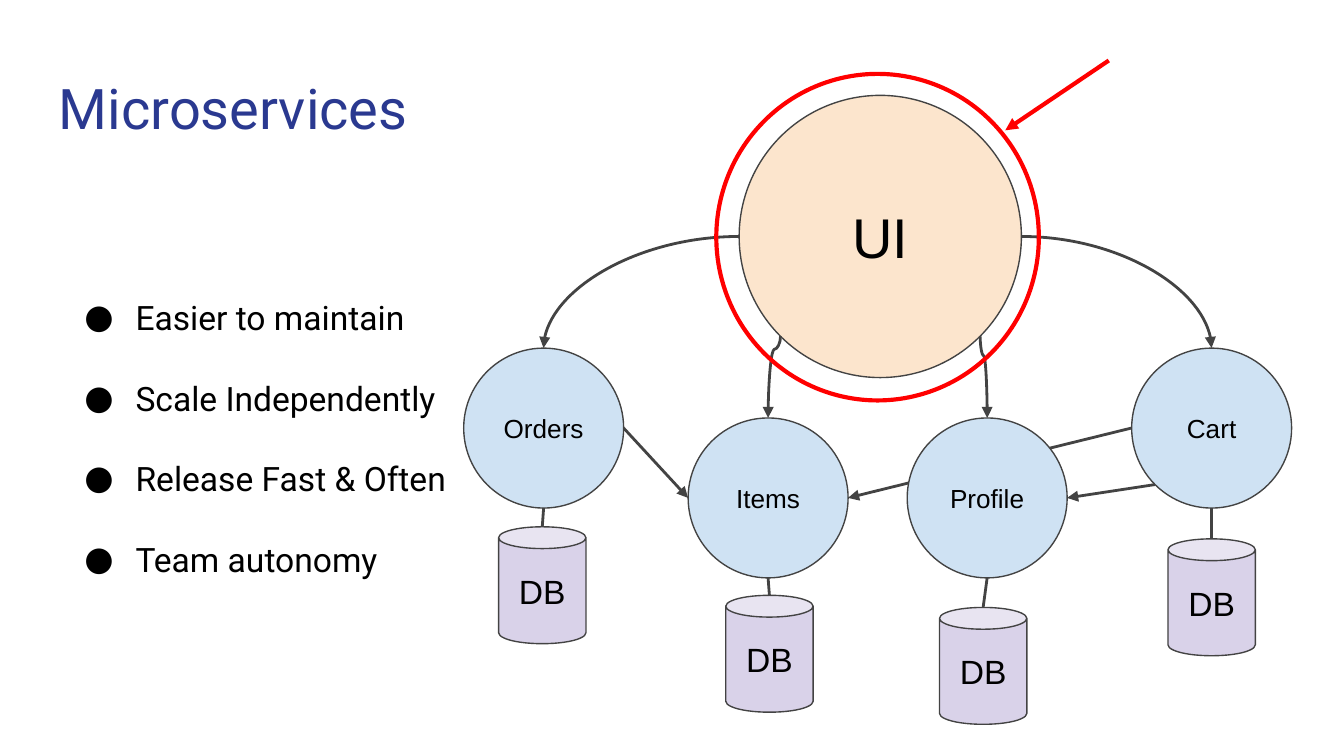
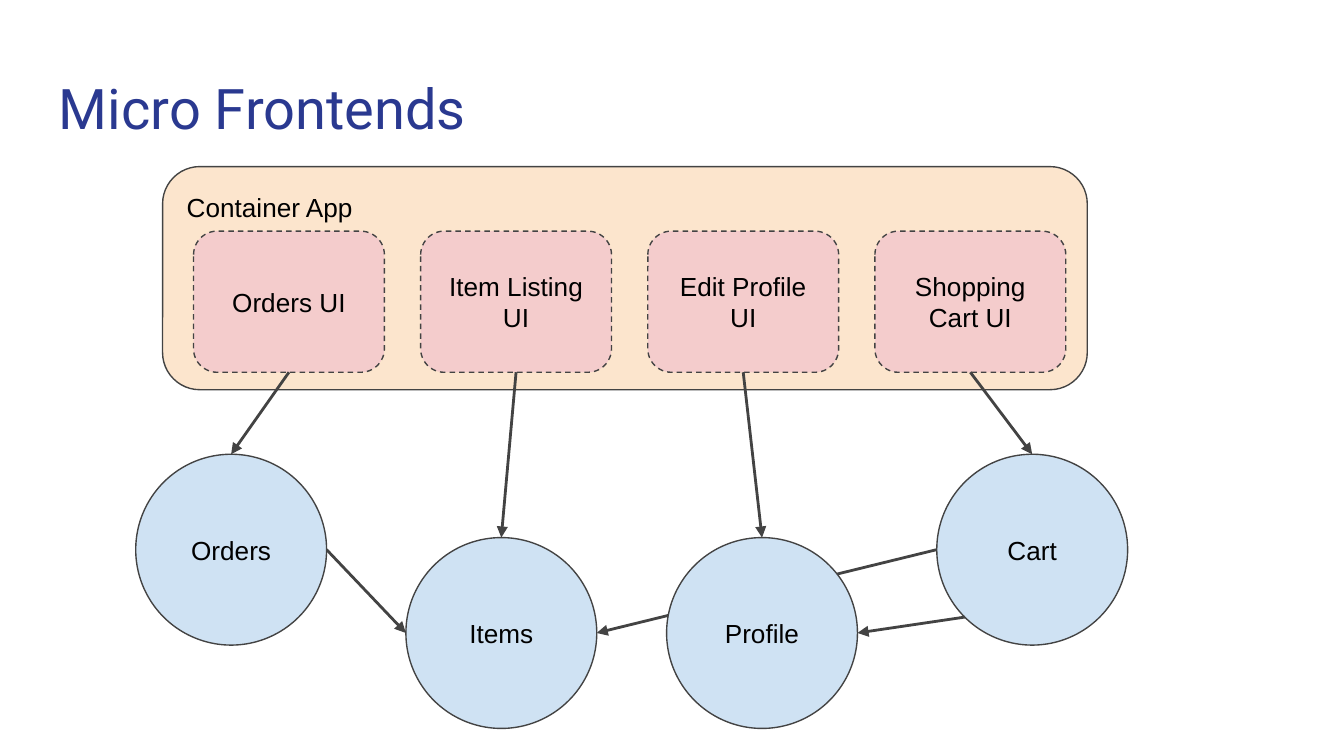
"""Build two slides that compare microservices with micro frontends."""
from dataclasses import dataclass
from math import cos, radians, sin

from pptx import Presentation
from pptx.dml.color import RGBColor
from pptx.enum.dml import MSO_LINE as Dash
from pptx.enum.shapes import MSO_CONNECTOR as Conn, MSO_SHAPE as Shp
from pptx.enum.text import MSO_ANCHOR as Anchor, PP_ALIGN as Align
from pptx.oxml.ns import qn
from pptx.oxml.xmlchemy import OxmlElement as Element
from pptx.shapes.connector import Connector
from pptx.slide import Slide
from pptx.text.text import TextFrame, _Paragraph as Paragraph
from pptx.util import Inches, Pt

COLUMNS = 100
WIDTH = Inches(10)
HEIGHT = WIDTH * 9 // 16
UNIT = WIDTH / COLUMNS

INK, GREY, NAVY, RED = "000000", "434343", "2A3990", "FF0000"
BLUE, PEACH, LILAC, PINK = "CFE2F3", "FCE5CD", "D9D2E9", "F4CCCC"
BODY, HEADING = "Arial", "Roboto"
THIN, MEDIUM, THICK = 0.75, 1.5, 2.25
RIGHT, LOWER_RIGHT, BOTTOM, LOWER_LEFT, LEFT, TOP = 0, 45, 90, 135, 180, 270

Point = tuple[float, float]


@dataclass(frozen=True)
class Look:
    """Appearance shared by nodes of one kind."""
    shape: Shp
    fill: str | None
    size: int = 14
    line: str = GREY
    weight: float = THIN
    dashed: bool = False
    align: Align = Align.CENTER
    anchor: Anchor = Anchor.MIDDLE


@dataclass(frozen=True)
class Node:
    """A labelled shape placed in grid units."""
    label: str
    x: float
    y: float
    w: float
    h: float
    look: Look

    def port(self, angle: float) -> Point:
        """Return the outline point at a clockwise angle from the right."""
        return (self.x + self.w / 2 * (1 + cos(radians(angle))),
                self.y + self.h / 2 * (1 + sin(radians(angle))))


SERVICE = Look(Shp.OVAL, BLUE)
FRONTEND = Look(Shp.OVAL, PEACH, 30)
DATABASE = Look(Shp.CAN, LILAC, 18)
RING = Look(Shp.OVAL, None, line=RED, weight=THICK)
CONTAINER = Look(Shp.ROUNDED_RECTANGLE, PEACH, align=Align.LEFT, anchor=Anchor.TOP)
TILE = Look(Shp.ROUNDED_RECTANGLE, PINK, dashed=True)

SERVICE_NAMES = ("Orders", "Items", "Profile", "Cart")
TILE_NAMES = ("Orders UI", "Item Listing UI", "Edit Profile UI", "Shopping Cart UI")
BENEFITS = ("Easier to maintain", "Scale Independently", "Release Fast & Often", "Team autonomy")


def grid(*values: float) -> list[int]:
    """Convert grid units to slide lengths."""
    return [round(v * UNIT) for v in values]


def rgb(code: str) -> RGBColor:
    """Turn a hex string into a colour."""
    return RGBColor.from_string(code)


def set_font(p: Paragraph, name: str, size: int, color: str) -> None:
    """Format every run of a paragraph."""
    for r in p.runs:
        r.font.name, r.font.size = name, Pt(size)
        r.font.color.rgb = rgb(color)


def set_frame(tf: TextFrame, anchor: Anchor) -> None:
    """Give a text frame wrapping, equal margins and an anchor."""
    tf.word_wrap, tf.vertical_anchor = True, anchor
    tf.margin_left = tf.margin_right = tf.margin_top = tf.margin_bottom = Inches(0.1)


def draw_node(s: Slide, node: Node) -> None:
    """Draw a node with its label."""
    look = node.look
    sp = s.shapes.add_shape(look.shape, *grid(node.x, node.y, node.w, node.h))
    sp.shadow.inherit = False
    if look.fill:
        sp.fill.solid()
        sp.fill.fore_color.rgb = rgb(look.fill)
    else:
        sp.fill.background()
    sp.line.color.rgb = rgb(look.line)
    sp.line.width = Pt(look.weight)
    if look.dashed:
        sp.line.dash_style = Dash.DASH
    if node.label:
        tf = sp.text_frame
        set_frame(tf, look.anchor)
        p = tf.paragraphs[0]
        p.text, p.alignment = node.label, look.align
        set_font(p, BODY, look.size, INK)


def draw_link(s: Slide, start: Point, end: Point, arrow: bool = True, kind: Conn = Conn.STRAIGHT,
              color: str = GREY, weight: float = MEDIUM) -> Connector:
    """Join two points, with an arrowhead at the end if wanted."""
    link = s.shapes.add_connector(kind, *grid(*start, *end))
    link.line.color.rgb = rgb(color)
    link.line.width = Pt(weight)
    props = link._element.spPr
    if arrow:
        head = Element("a:tailEnd")
        head.set("type", "triangle")
        props.find(qn("a:ln")).append(head)
    props.append(Element("a:effectLst"))
    return link


def draw_quarter_curve(s: Slide, start: Point, end: Point) -> None:
    """Draw an arrow that leaves sideways and arrives from above."""
    link = draw_link(s, start, end, kind=Conn.CURVE)
    link._element.spPr.find(qn("a:prstGeom")).set("prst", "curvedConnector2")


def draw_drop_curve(s: Slide, start: Point, end: Point, bend: float) -> None:
    """Draw an S-shaped arrow that leaves and arrives vertically."""
    (x1, y1), (x2, y2) = start, end
    side = 1 if x2 > x1 else -1
    cx, cy, half, rise = (x1 + x2) / 2, (y1 + y2) / 2, (y2 - y1) / 2, abs(x2 - x1) / 2
    link = draw_link(s, (cx + side * half, cy - rise), (cx - side * half, cy + rise), kind=Conn.CURVE)
    props = link._element.spPr
    props.find(qn("a:xfrm")).set("rot", str((180 + side * 90) * 60000))
    guide = Element("a:gd")
    guide.set("name", "adj1")
    guide.set("fmla", f"val {round(bend * 100000)}")
    props.find(qn("a:prstGeom")).get_or_add_avLst().append(guide)


def draw_title(s: Slide, text: str) -> None:
    """Write the slide title."""
    tf = s.shapes.add_textbox(*grid(3.4, 4.5, 40, 6.6)).text_frame
    set_frame(tf, Anchor.TOP)
    tf.text = text
    set_font(tf.paragraphs[0], HEADING, 30, NAVY)


def draw_bullets(s: Slide, lines: tuple[str, ...]) -> None:
    """Write a widely spaced bullet list."""
    tf = s.shapes.add_textbox(*grid(4.1, 18.1, 55.1, 8.8)).text_frame
    set_frame(tf, Anchor.TOP)
    tf.text = "\n".join(lines)
    for p in tf.paragraphs:
        props = p._p.get_or_add_pPr()
        props.set("marL", str(Inches(0.5)))
        props.set("indent", str(-Inches(0.38)))
        tint, shade = Element("a:buClr"), Element("a:srgbClr")
        shade.set("val", INK)
        tint.append(shade)
        face, mark = Element("a:buFont"), Element("a:buChar")
        face.set("typeface", HEADING)
        mark.set("char", "●")
        for part in (tint, face, mark):
            props.append(part)
        p.line_spacing = 2.0
        set_font(p, HEADING, 18, INK)


def draw_services(s: Slide, spots: tuple[Point, ...], size: float) -> list[Node]:
    """Draw the four services and the calls between them."""
    services = [Node(name, x, y, size, size, SERVICE) for name, (x, y) in zip(SERVICE_NAMES, spots)]
    orders, items, profile, cart = services
    draw_link(s, cart.port(LEFT), items.port(RIGHT))
    draw_link(s, orders.port(RIGHT), items.port(LEFT))
    for service in services:
        draw_node(s, service)
    draw_link(s, cart.port(LOWER_LEFT), profile.port(RIGHT))
    return services


def build_microservices(s: Slide) -> None:
    """Show one UI that calls services with their own databases."""
    services = draw_services(s, ((34.5, 25.9), (51.2, 31.1), (67.5, 31.1), (84.2, 25.9)), 11.9)
    orders, items, profile, cart = services
    ui = Node("UI", 55, 7.1, 21, 21, FRONTEND)
    draw_node(s, ui)
    for service, (x, y) in zip(services, ((37.1, 39.2), (54, 44.3), (69.9, 45.2), (86.9, 40.1))):
        db = Node("DB", x, y, 6.5, 8.7, DATABASE)
        draw_node(s, db)
        draw_link(s, service.port(BOTTOM), db.port(TOP), arrow=False)
    draw_title(s, "Microservices")
    draw_quarter_curve(s, ui.port(LEFT), orders.port(TOP))
    draw_drop_curve(s, ui.port(LOWER_LEFT), items.port(TOP), 0.16)
    draw_quarter_curve(s, ui.port(RIGHT), cart.port(TOP))
    draw_drop_curve(s, ui.port(LOWER_RIGHT), profile.port(TOP), 0.24)
    draw_bullets(s, BENEFITS)
    draw_node(s, Node("", 53.3, 5.5, 24, 24.3, RING))
    draw_link(s, (82.5, 4.5), (74.8, 9.7), color=RED, weight=THICK)


def build_micro_frontends(s: Slide) -> None:
    """Show a container app with one frontend for each service."""
    draw_node(s, Node("Container App", 12.1, 12.4, 68.8, 16.6, CONTAINER))
    services = draw_services(s, ((10.1, 33.8), (30.2, 40), (49.6, 40), (69.7, 33.8)), 14.2)
    draw_title(s, "Micro Frontends")
    tiles = [Node(name, 14.4 + 16.9 * i, 17.2, 14.2, 10.5, TILE) for i, name in enumerate(TILE_NAMES)]
    for tile, service in zip(tiles, services):
        draw_node(s, tile)
        draw_link(s, tile.port(BOTTOM), service.port(TOP))


def main() -> None:
    """Build and save the presentation."""
    prs = Presentation()
    prs.slide_width, prs.slide_height = WIDTH, HEIGHT
    for build in (build_microservices, build_micro_frontends):
        build(prs.slides.add_slide(prs.slide_layouts[6]))
    prs.save("out.pptx")


if __name__ == "__main__":
    main()
